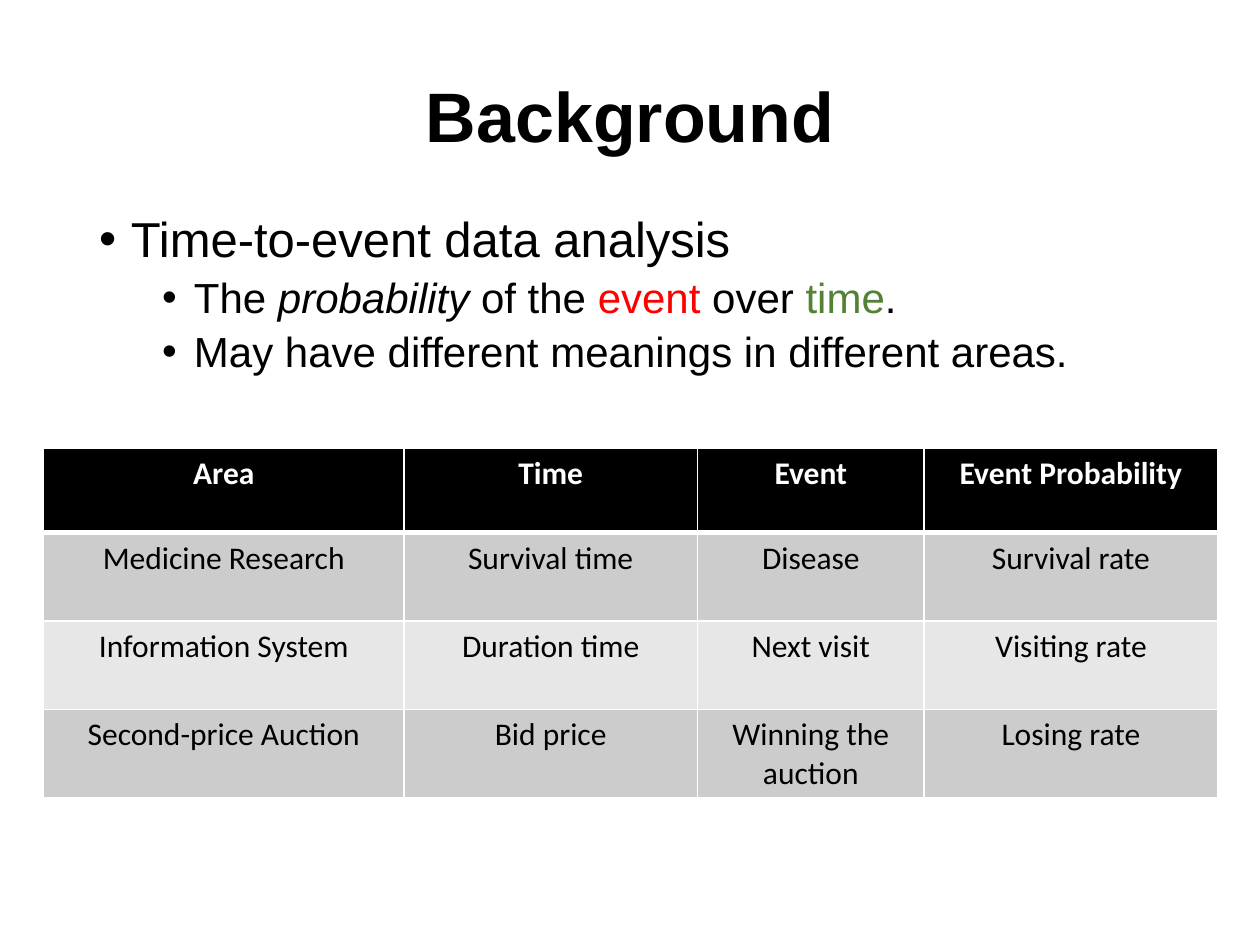
from lxml.etree import SubElement
from pptx import Presentation
from pptx.dml.color import RGBColor
from pptx.enum.text import MSO_ANCHOR, PP_ALIGN
from pptx.oxml import parse_xml
from pptx.oxml.ns import nsdecls, qn
from pptx.util import Cm, Pt

BLACK = RGBColor(0x00, 0x00, 0x00)
WHITE = RGBColor(0xFF, 0xFF, 0xFF)
RED = RGBColor(0xFF, 0x00, 0x00)
GREEN = RGBColor(0x54, 0x82, 0x35)
BAND_DARK = RGBColor(0xCC, 0xCC, 0xCC)
BAND_LIGHT = RGBColor(0xE7, 0xE7, 0xE7)

# Each bullet: level, then its runs as (text, colour, italic)
BULLETS = [
    (0, [("Time-to-event data analysis", BLACK, False)]),
    (1, [("The ", BLACK, False), ("probability", BLACK, True),
         (" of the ", BLACK, False), ("event", RED, False),
         (" over ", BLACK, False), ("time", GREEN, False),
         (".", BLACK, False)]),
    (1, [("May have different meanings in different areas.", BLACK, False)]),
]
# Size, space before and left margin of each bullet level
LEVELS = [(Pt(28), Pt(10), Cm(0.64)), (Pt(24), Pt(5), Cm(1.91))]
HANGING = Cm(0.64)

AREAS = [
    ("Area", "Time", "Event", "Event Probability"),
    ("Medicine Research", "Survival time", "Disease", "Survival rate"),
    ("Information System", "Duration time", "Next visit", "Visiting rate"),
    ("Second-price Auction", "Bid price", "Winning the auction", "Losing rate"),
]
COLUMN_SHARES = (2.86, 2.33, 1.8, 2.33)
HEADER_HEIGHT = Cm(1.7)


def style_run(run, font_name, size, color, bold=False, italic=False):
    font = run.font
    font.name, font.size, font.bold, font.italic = font_name, size, bold, italic
    font.color.rgb = color


def add_frame(slide, left, top, width, height):
    frame = slide.shapes.add_textbox(left, top, width, height).text_frame
    frame.word_wrap = True
    return frame


def add_title(slide, left, top, width, height):
    frame = add_frame(slide, left, top, width, height)
    frame.vertical_anchor = MSO_ANCHOR.MIDDLE
    frame.text = "Background"
    heading = frame.paragraphs[0]
    heading.alignment = PP_ALIGN.CENTER
    heading.line_spacing = 0.9
    style_run(heading.runs[0], "Arial", Pt(40), BLACK, bold=True)


def add_bullets(slide, left, top, width, height):
    frame = add_frame(slide, left, top, width, height)
    for index, (level, pieces) in enumerate(BULLETS):
        bullet = frame.add_paragraph() if index else frame.paragraphs[0]
        size, space_before, margin = LEVELS[level]
        bullet.level = level
        bullet.line_spacing = 0.9
        bullet.space_before = space_before
        for text, color, italic in pieces:
            run = bullet.add_run()
            run.text = text
            style_run(run, "Arial", size, color, italic=italic)
        # Hanging bullet character
        properties = bullet._p.get_or_add_pPr()
        properties.set("marL", str(margin))
        properties.set("indent", str(-HANGING))
        SubElement(properties, qn("a:buFont"), typeface="Arial")
        SubElement(properties, qn("a:buChar"), char="•")


def set_borders(cell, bottom_width, top_width):
    widths = {"lnL": Pt(1), "lnR": Pt(1), "lnT": top_width, "lnB": bottom_width}
    for position, (side, width) in enumerate(widths.items()):
        cell._tc.get_or_add_tcPr().insert(position, parse_xml(
            f'<a:{side} {nsdecls("a")} w="{width}"><a:solidFill>'
            f'<a:srgbClr val="{WHITE}"/></a:solidFill></a:{side}>'))


def add_area_table(slide, left, top, width, height):
    table = slide.shapes.add_table(
        len(AREAS), len(COLUMN_SHARES), left, top, width, height).table
    for column, share in zip(table.columns, COLUMN_SHARES):
        column.width = int(width * share / sum(COLUMN_SHARES))
    body_height = (height - HEADER_HEIGHT) // (len(AREAS) - 1)
    for row_index, labels in enumerate(AREAS):
        header = row_index == 0
        table.rows[row_index].height = HEADER_HEIGHT if header else body_height
        band = BAND_DARK if row_index % 2 else BAND_LIGHT
        for column_index, label in enumerate(labels):
            cell = table.cell(row_index, column_index)
            cell.fill.solid()
            cell.fill.fore_color.rgb = BLACK if header else band
            set_borders(cell, Pt(3) if header else Pt(1),
                        Pt(3) if row_index == 1 else Pt(1))
            cell.text_frame.text = label
            entry = cell.text_frame.paragraphs[0]
            entry.alignment = PP_ALIGN.CENTER
            style_run(entry.runs[0], "Calibri", Pt(18),
                      WHITE if header else BLACK, bold=header)


def main():
    deck = Presentation()
    deck.slide_width, deck.slide_height = Cm(25.4), Cm(19.05)
    slide = deck.slides.add_slide(deck.slide_layouts[6])
    add_title(slide, Cm(1.75), Cm(1.02), Cm(21.9), Cm(2.79))
    add_bullets(slide, Cm(1.75), Cm(4.22), Cm(21.9), Cm(12.93))
    add_area_table(slide, Cm(0.88), Cm(9.04), Cm(23.67), Cm(7.04))
    deck.save("out.pptx")


if __name__ == "__main__":
    main()
